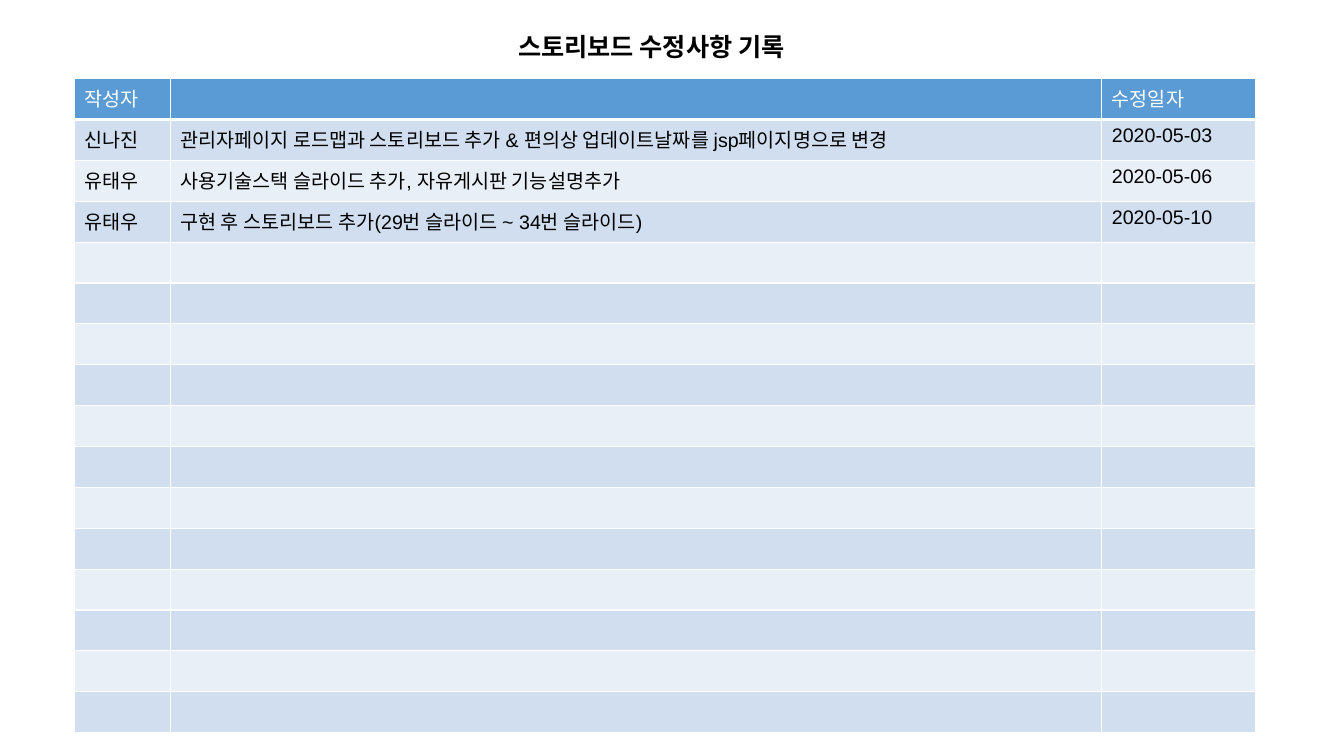
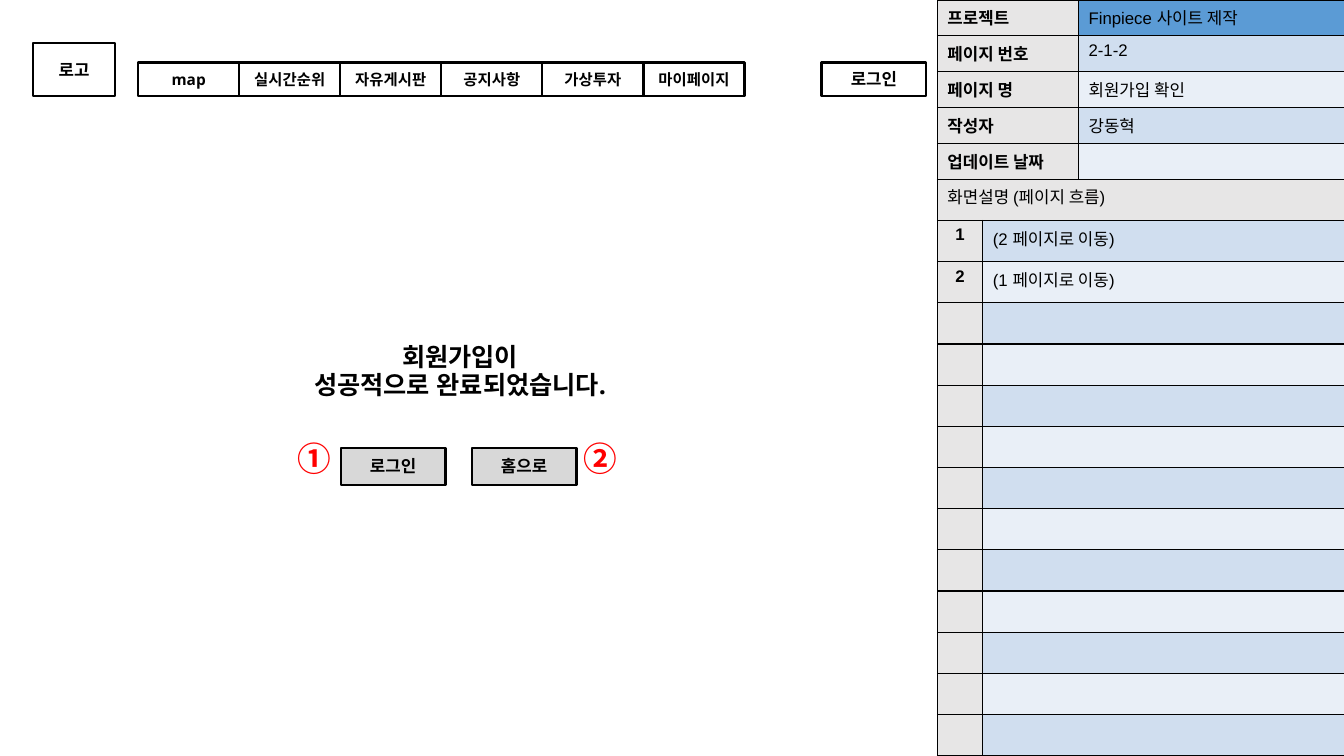
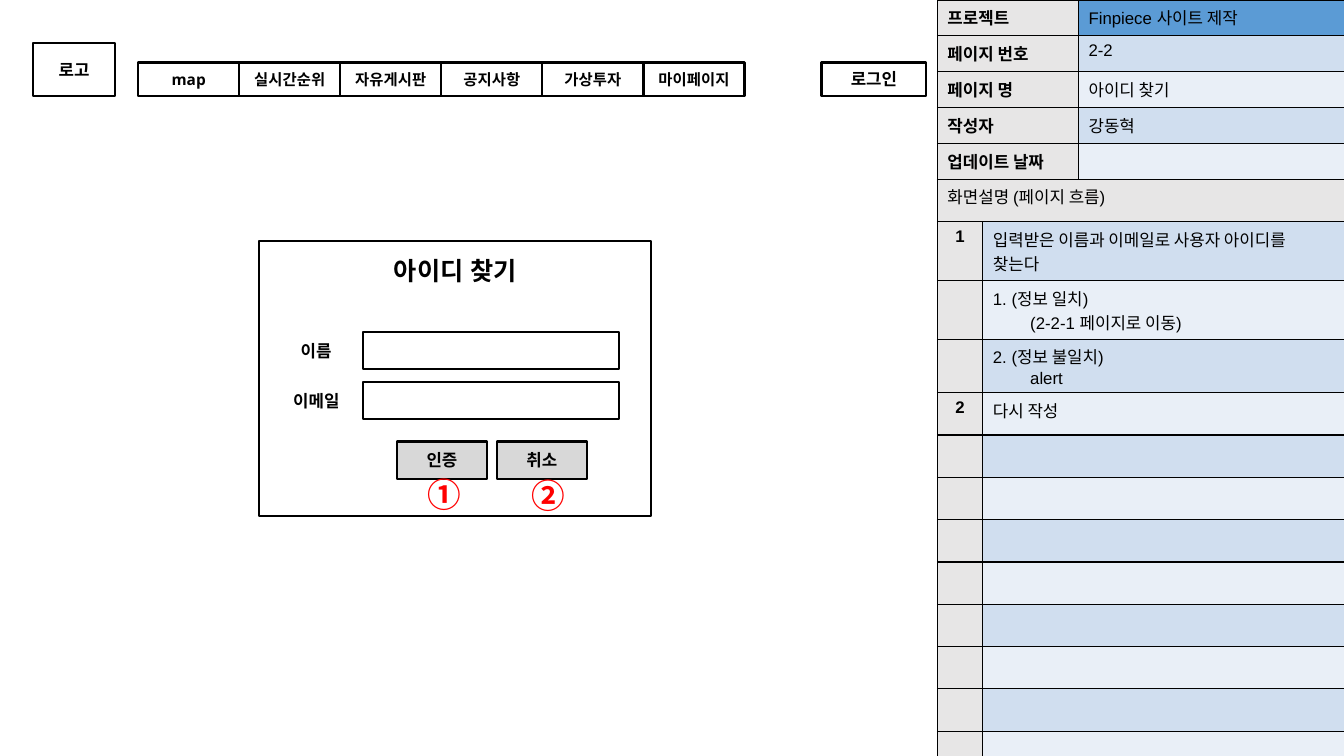
"""Build three storyboard slides: a revision log and two annotated page wireframes."""
import pptx
import pptx.dml.color
import pptx.enum.shapes
import pptx.enum.text
import pptx.oxml.ns
import pptx.util
from lxml import etree

COLORS = {
    "ink": "000000", "paper": "FFFFFF", "header": "5B9BD5", "band": "D0DEEF",
    "pale": "E9EFF7", "label": "E7E6E6", "button": "D8D8D8", "marker": "FF0000",
}
EAST_ASIAN = {"Arial": "Noto Sans CJK KR"}
WIDTH, HEIGHT = pptx.util.Inches(13.333), pptx.util.Inches(7.5)
PANEL_LEFT, PANEL_SPLIT = 69.75, 23.73
CONTROL_HEIGHT = 4.93
MENU = ["map", "실시간순위", "자유게시판", "공지사항", "가상투자", "마이페이지"]
ALIGN = pptx.enum.text.PP_ALIGN
ANCHOR = pptx.enum.text.MSO_ANCHOR


def across(share):
    return round(WIDTH * share / 100)


def down(share):
    return round(HEIGHT * share / 100)


def place(left, top, width, height):
    return across(left), down(top), across(width), down(height)


def rgb(name):
    return pptx.dml.color.RGBColor.from_string(COLORS[name])


def write(frame, text, size=12, font="Open Sans", color="ink", bold=True,
          align=ALIGN.CENTER, indent=0, spacing=None):
    frame.text = text
    for number, para in enumerate(frame.paragraphs):
        para.alignment = align
        para.line_spacing = spacing
        if indent and number:
            properties = para._p.get_or_add_pPr()
            properties.set("marL", str(pptx.util.Inches(indent)))
        if not para.runs:
            para._p.get_or_add_endParaRPr().set("sz", str(size * 100))
        for span in para.runs:
            span.font.size = pptx.util.Pt(size)
            span.font.name = font
            span.font.bold = bold
            span.font.color.rgb = rgb(color)
            east = etree.SubElement(span._r.get_or_add_rPr(), pptx.oxml.ns.qn("a:ea"))
            east.set("typeface", EAST_ASIAN.get(font, font))


def set_frame(frame, anchor, vertical):
    frame.word_wrap = True
    frame.auto_size = pptx.enum.text.MSO_AUTO_SIZE.NONE
    frame.vertical_anchor = anchor
    frame.margin_left = frame.margin_right = pptx.util.Inches(0.1)
    frame.margin_top = frame.margin_bottom = pptx.util.Inches(vertical)


def add_title(page, text, area, font="Open Sans", anchor=ANCHOR.MIDDLE,
              margin=0.1, align=ALIGN.CENTER, spacing=0.9):
    title = page.shapes.title
    title.left, title.top, title.width, title.height = place(*area)
    set_frame(title.text_frame, anchor, margin)
    write(title.text_frame, text, 18, font, align=align, spacing=spacing)


def add_box(page, area, text="", fill=None, size=12):
    box = page.shapes.add_shape(pptx.enum.shapes.MSO_SHAPE.RECTANGLE, *place(*area))
    box.shadow.inherit = False
    box.line.color.rgb = rgb("ink")
    box.line.width = pptx.util.Pt(1.5)
    if fill:
        box.fill.solid()
        box.fill.fore_color.rgb = rgb(fill)
    else:
        box.fill.background()
    set_frame(box.text_frame, ANCHOR.MIDDLE, 0.1)
    write(box.text_frame, text, size)


def add_label(page, area, text, anchor=ANCHOR.TOP, margin=0.05, **style):
    label = page.shapes.add_textbox(*place(*area))
    set_frame(label.text_frame, anchor, margin)
    write(label.text_frame, text, **style)


def add_marker(page, left, top, text):
    add_label(page, (left, top, 4.5, 6.67), text, size=24,
              font="Noto Sans CJK KR", color="marker", align=ALIGN.LEFT)


def style_cell(cell, fill, line, bottom=1):
    properties = cell._tc.get_or_add_tcPr()
    for side in "LRTB":
        edge = etree.SubElement(properties, pptx.oxml.ns.qn(f"a:ln{side}"))
        edge.set("w", str(pptx.util.Pt(bottom if side == "B" else 1)))
        solid = etree.SubElement(edge, pptx.oxml.ns.qn("a:solidFill"))
        color = etree.SubElement(solid, pptx.oxml.ns.qn("a:srgbClr"))
        color.set("val", COLORS[line])
    cell.fill.solid()
    cell.fill.fore_color.rgb = rgb(fill)


def add_grid(page, left, top, columns, heights):
    grid = page.shapes.add_table(
        len(heights), len(columns),
        *place(left, top, sum(columns), sum(heights))).table
    grid.first_row = grid.horz_banding = False
    for column, width in zip(grid.columns, columns):
        column.width = across(width)
    for row, height in zip(grid.rows, heights):
        row.height = down(height)
    return grid


def band(number):
    return "band" if number % 2 else "pale"


def add_log(page, rows, count):
    grid = add_grid(page, 5.55, 10.4, [7.13, 69.3, 11.48], [86.53 / count] * count)
    rows = rows + [("", "", "")] * (count - len(rows))
    for number, texts in enumerate(rows):
        for column, text in enumerate(texts):
            cell = grid.cell(number, column)
            header = number == 0
            style_cell(cell, "header" if header else band(number), "paper",
                       3 if header else 1)
            write(cell.text_frame, text, 14, "Arial", "paper" if header else "ink",
                  False, ALIGN.LEFT)


def add_page_facts(page, number, name):
    facts = [("프로젝트", "Finpiece 사이트 제작"), ("페이지 번호", number),
             ("페이지 명", name), ("작성자", "강동혁"), ("업데이트 날짜", "")]
    grid = add_grid(page, PANEL_LEFT, 0, [10.5, 19.8],
                    [PANEL_SPLIT / len(facts)] * len(facts))
    for row, texts in enumerate(facts):
        fills = "label", band(row) if row else "header"
        for column, text in enumerate(texts):
            cell = grid.cell(row, column)
            style_cell(cell, fills[column], "ink")
            write(cell.text_frame, text, 12, "Arial", bold=column == 0, align=ALIGN.LEFT)


def add_flow(page, steps, heights):
    grid = add_grid(page, PANEL_LEFT, PANEL_SPLIT, [3.38, 26.92], heights)
    heading = grid.cell(0, 0)
    heading.merge(grid.cell(0, 1))
    style_cell(heading, "label", "ink")
    style_cell(grid.cell(0, 1), "label", "ink")
    write(heading.text_frame, "화면설명 (페이지 흐름)", 12, "Arial",
          bold=False, align=ALIGN.LEFT)
    steps = steps + [("", "")] * (len(heights) - 1 - len(steps))
    for row, (mark, text) in enumerate(steps, 1):
        mark_cell, text_cell = grid.cell(row, 0), grid.cell(row, 1)
        style_cell(mark_cell, "label", "ink")
        style_cell(text_cell, band(row), "ink")
        write(mark_cell.text_frame, mark, 12, "Arial")
        write(text_cell.text_frame, text, 12, "Arial", bold=False,
              align=ALIGN.LEFT, indent=0.37)


def add_site_header(page):
    add_box(page, (2.48, 5.73, 6.08, 6.93), "로고")
    add_box(page, (61.13, 8.27, 7.8, 4.4), "로그인")
    pitch = 7.52
    for number, item in enumerate(MENU):
        add_box(page, (10.28 + number * pitch, 8.27, pitch, 4.4), item, size=11)


def build_log(page):
    add_title(page, "스토리보드 수정사항 기록", (37.8, 3.47, 23.4, 5.33), "Arial",
              ANCHOR.TOP, 0.05, ALIGN.LEFT, 1.0)
    add_log(page, [
        ("작성자", "", "수정일자"),
        ("신나진", "관리자페이지 로드맵과 스토리보드 추가 & 편의상 업데이트날짜를 jsp페이지명으로 변경",
         "2020-05-03"),
        ("유태우", "사용기술스택 슬라이드 추가, 자유게시판 기능설명추가", "2020-05-06"),
        ("유태우", "구현 후 스토리보드 추가(29번 슬라이드 ~ 34번 슬라이드)", "2020-05-10"),
    ], 16)


def build_joined(page):
    add_title(page, "회원가입이\n성공적으로 완료되었습니다.", (17.55, 46.8, 33.38, CONTROL_HEIGHT))
    add_page_facts(page, "2-1-2", "회원가입 확인")
    add_flow(page, [("1", "(2 페이지로 이동)"), ("2", "(1 페이지로 이동)")],
             [(100 - PANEL_SPLIT) / 14] * 14)
    for left, text in ((25.35, "로그인"), (35.1, "홈으로")):
        add_box(page, (left, 59.2, 7.8, CONTROL_HEIGHT), text, "button")
    add_marker(page, 21.38, 57.33, "①")
    add_marker(page, 42.68, 57.33, "②")
    add_site_header(page)


def build_find_id(page):
    add_title(page, "아이디 찾기", (27.08, 33.6, 13.58, CONTROL_HEIGHT))
    add_box(page, (19.28, 31.87, 29.18, 36.4))
    add_page_facts(page, "2-2", "아이디 찾기")
    add_flow(page, [
        ("1", "입력받은 이름과 이메일로 사용자 아이디를 찾는다"),
        ("", "1. (정보 일치)\n(2-2-1 페이지로 이동)"),
        ("", "2. (정보 불일치)\nalert"),
        ("2", "다시 작성"),
    ], [5.6] + [6.8] * 3 + [5.6] * 9)
    for top in (43.87, 50.53):
        add_box(page, (27, top, 19.05, CONTROL_HEIGHT))
    add_label(page, (20.4, 43.87, 6.23, CONTROL_HEIGHT), "이름", ANCHOR.MIDDLE, 0.1)
    add_label(page, (21.08, 51.07, 5.55, 4), "이메일", font="Arial", align=ALIGN.LEFT)
    for left, text in ((29.55, "인증"), (36.98, "취소")):
        add_box(page, (left, 58.4, 6.68, CONTROL_HEIGHT), text, "button")
    add_marker(page, 31.05, 62, "①")
    add_marker(page, 38.78, 62.13, "②")
    add_site_header(page)


def main():
    deck = pptx.Presentation()
    deck.slide_width, deck.slide_height = WIDTH, HEIGHT
    for build in (build_log, build_joined, build_find_id):
        build(deck.slides.add_slide(deck.slide_layouts[5]))
    deck.save("out.pptx")


if __name__ == "__main__":
    main()
